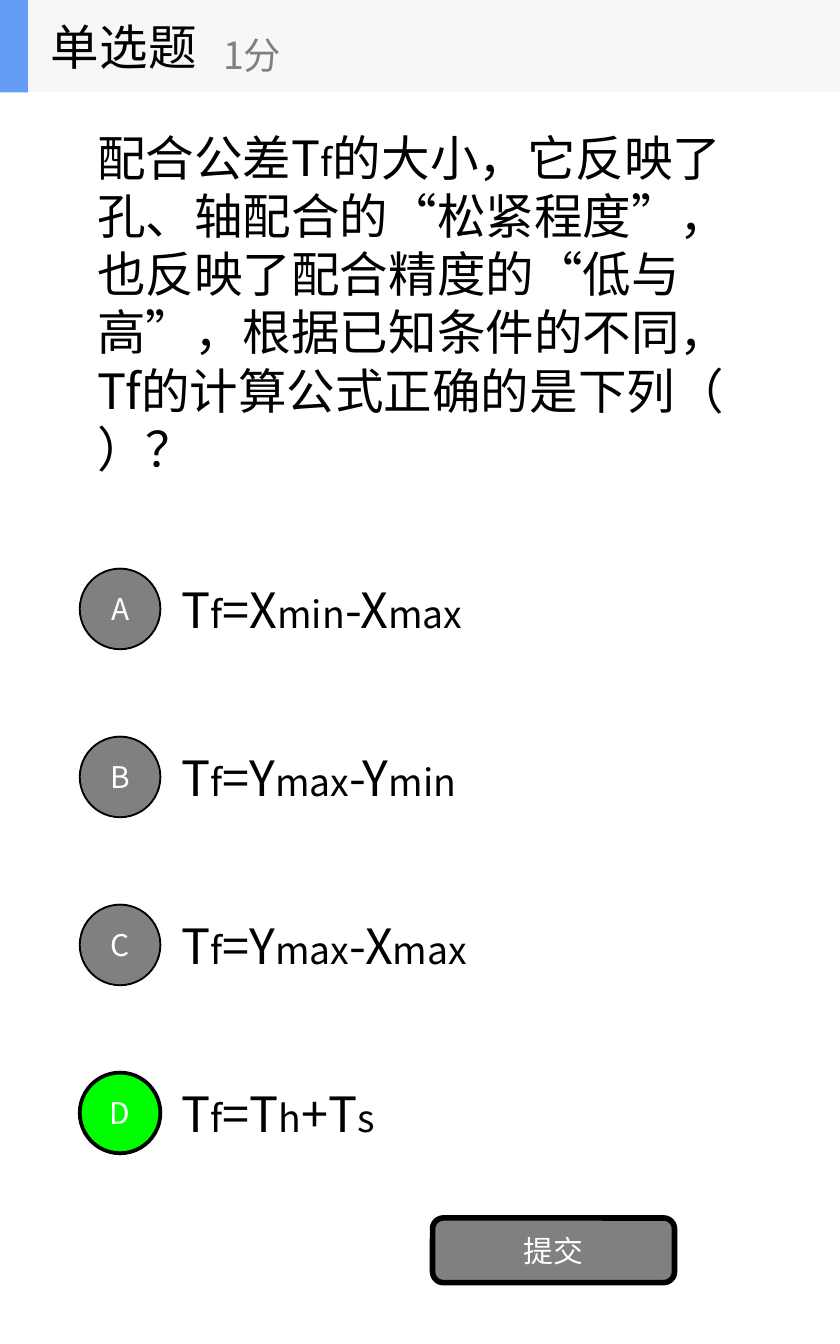
from pptx import Presentation
from pptx.dml.color import RGBColor
from pptx.enum.shapes import MSO_SHAPE
from pptx.enum.text import MSO_ANCHOR, PP_ALIGN
from pptx.oxml.ns import qn
from pptx.util import Inches, Pt

RECT, OVAL, ROUNDED = MSO_SHAPE.RECTANGLE, MSO_SHAPE.OVAL, MSO_SHAPE.ROUNDED_RECTANGLE
LEFT, CENTER, MIDDLE = PP_ALIGN.LEFT, PP_ALIGN.CENTER, MSO_ANCHOR.MIDDLE

UNIT = 0.625  # square grid: 10 columns by 16 rows
COLUMNS, ROWS = 10, 16
FONT = "Noto Sans CJK SC"
BLACK, WHITE, GRAY = "000000", "FFFFFF", "808080"
GREEN, BLUE, PALE = "00FF00", "639EF4", "F6F7F8"
BODY, SUBSCRIPT, LABEL = 26, 20, 16

QUESTION = [
    "配合公差T", "f",
    "的大小，它反映了孔、轴配合的“松紧程度”，也反映了配合精度的“低与高”，"
    "根据已知条件的不同，Tf的计算公式正确的是下列（  ）？",
]
# Formula pieces alternate between body and subscript size
OPTIONS = {
    "A": ["T", "f", "=X", "min", "-X", "max"],
    "B": ["T", "f", "=Y", "max", "-Y", "min"],
    "C": ["T", "f", "=Y", "max", "-X", "max"],
    "D": ["T", "f", "=T", "h", "+T", "s"],
}
ANSWER = "D"


def rgb(value):
    return RGBColor.from_string(value)


def grid(box):
    return [Inches(UNIT * share) for share in box]


def write(holder, pieces, sizes=(BODY,), color=BLACK, align=LEFT, wrap=True):
    """Write pieces as runs, cycling through the sizes."""
    frame = holder.text_frame
    frame.word_wrap = wrap
    frame.vertical_anchor = MIDDLE
    paragraph = frame.paragraphs[0]
    paragraph.alignment = align
    for index, piece in enumerate(pieces):
        run = paragraph.add_run()
        run.text = piece
        run.font.size = Pt(sizes[index % len(sizes)])
        run.font.name = FONT
        run.font.color.rgb = rgb(color)
        east_asian = run.font._element.makeelement(qn("a:ea"), {"typeface": FONT})
        run.font._element.find(qn("a:latin")).addnext(east_asian)


def add_text(shapes, box, pieces, **text_format):
    write(shapes.add_textbox(*grid(box)), pieces, **text_format)


def add_block(shapes, kind, box, fill, border=0, label=None):
    block = shapes.add_shape(kind, *grid(box))
    block.shadow.inherit = False
    block.fill.solid()
    block.fill.fore_color.rgb = rgb(fill)
    if border:
        block.line.color.rgb = rgb(BLACK)
        block.line.width = Pt(border)
    else:
        block.line.fill.background()
    if label:
        write(block, [label], sizes=(LABEL,), color=WHITE, align=CENTER)


def header(slide, box):
    left, top, width, height = box
    shapes = slide.shapes.add_group_shape().shapes
    add_block(shapes, RECT, box, PALE)
    add_block(shapes, RECT, (left, top, width / 30, height), BLUE)
    add_text(shapes, (left + 0.45, top, width / 3, height), ["单选题"], wrap=False)
    add_text(shapes, (left + 2.5, top + 0.2, width * 0.4, height - 0.2), ["1分"],
             sizes=(SUBSCRIPT,), color=GRAY, wrap=False)


def option(slide, box, letter, formula):
    left, top, width, height = box
    badge = 0.96
    correct = letter == ANSWER
    add_text(slide.shapes, (left + 1.05, top, width - 1.05, height), formula,
             sizes=(BODY, SUBSCRIPT))
    add_block(slide.shapes, OVAL, (left, top + (height - badge) / 2, badge, badge),
              GREEN if correct else GRAY, border=2 if correct else 1, label=letter)


def main():
    deck = Presentation()
    deck.slide_width, deck.slide_height = grid((COLUMNS, ROWS))
    slide = deck.slides.add_slide(deck.slide_layouts[6])

    # Question
    add_text(slide.shapes, (1, 1.1, 8, 5), QUESTION, sizes=(BODY, SUBSCRIPT))

    # Answer options, one every two rows
    for index, (letter, formula) in enumerate(OPTIONS.items()):
        option(slide, (0.95, 6.5 + 2 * index, 8.05, 1.5), letter, formula)

    # Submit button
    add_block(slide.shapes, ROUNDED, (5.15, 14.5, 2.88, 0.77), GRAY,
              border=3, label="提交")

    header(slide, (0, 0, COLUMNS, 1.1))
    deck.save("out.pptx")


if __name__ == "__main__":
    main()
